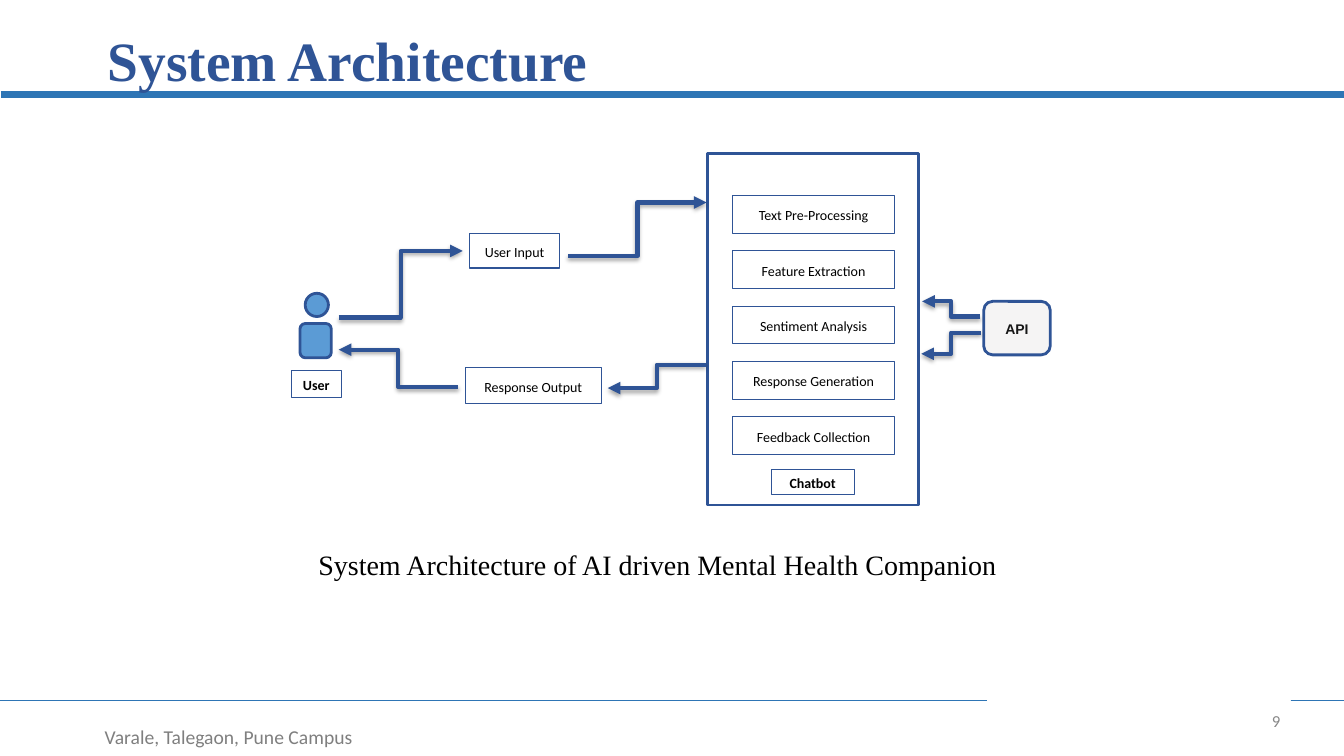
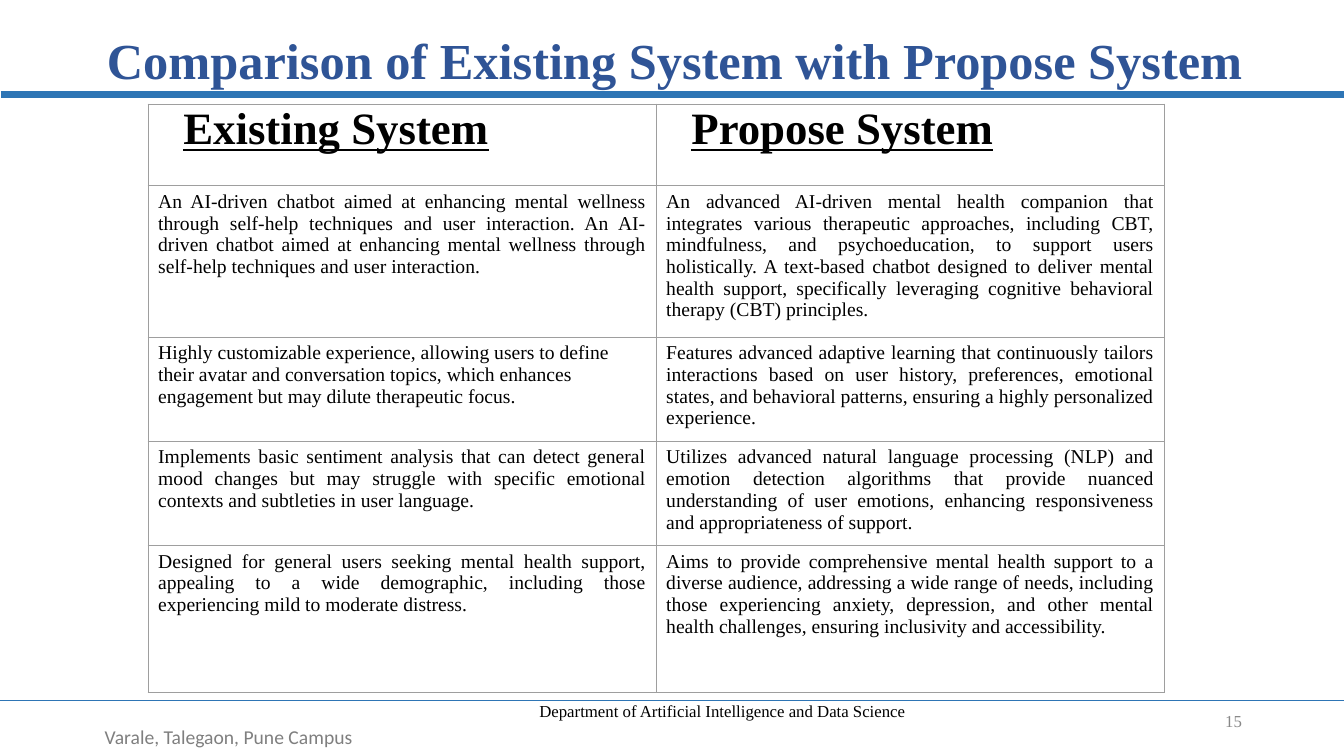
import pptx
import pptx.dml.color
import pptx.enum.shapes
import pptx.enum.text
import pptx.oxml
import pptx.oxml.ns
import pptx.util

Pt = pptx.util.Pt
RGBColor = pptx.dml.color.RGBColor
SHAPE = pptx.enum.shapes.MSO_SHAPE
CONN = pptx.enum.shapes.MSO_CONNECTOR
ALIGN = pptx.enum.text.PP_ALIGN
ANCHOR = pptx.enum.text.MSO_ANCHOR
NS = pptx.oxml.ns.nsdecls("a")

NAVY = RGBColor(0x2F, 0x54, 0x96)
BAND = RGBColor(0x2E, 0x75, 0xB5)
FIGURE = RGBColor(0x5B, 0x9B, 0xD5)
PALE = RGBColor(0xF5, 0xF4, 0xF4)
WHITE = RGBColor(0xFF, 0xFF, 0xFF)
BLACK = RGBColor(0, 0, 0)
INK = RGBColor(0x17, 0x17, 0x17)
FOOTER_GREY = RGBColor(0x7F, 0x7F, 0x7F)
PAGE_GREY = RGBColor(0x88, 0x88, 0x88)
BORDER = "9E9E9E"
SERIF, SANS = "Times New Roman", "Calibri"

SHADOW = (f'<a:effectLst {NS}><a:outerShdw blurRad="{Pt(3.1)}" dist="{Pt(1.8)}" '
          'dir="5400000" rotWithShape="0"><a:srgbClr val="000000"><a:alpha val="35000"/>'
          '</a:srgbClr></a:outerShdw></a:effectLst>')


def write(tf, text, size, font, color, bold=False, align=ALIGN.LEFT,
          anchor=ANCHOR.MIDDLE, spacing=1.0):
    tf.text = text
    tf.word_wrap = True
    tf.vertical_anchor = anchor
    p = tf.paragraphs[0]
    p.alignment = align
    p.line_spacing = spacing
    r = p.runs[0]
    r.font.size, r.font.name, r.font.bold = Pt(size), font, bold
    r.font.color.rgb = color
    return r


def connect(s, kind, x1, y1, x2, y2, color, width, effects):
    cx = s.shapes.add_connector(kind, Pt(x1), Pt(y1), Pt(x2), Pt(y2))
    cx.line.color.rgb = color
    cx.line.width = Pt(width)
    cx._element.spPr.append(pptx.oxml.parse_xml(effects))
    return cx


prs = pptx.Presentation()
prs.slide_width, prs.slide_height = Pt(960), Pt(540)

# Frame of each slide: bands, title, footer, page number
frames = [
    ("System Architecture", 39.6, 0.9, (69.8, 33.1, 828, 25.2), "9", 705.6, SANS),
    ("Comparison of Existing System with Propose System", 36, 1.0,
     (69.1, 28.1, 856, 28.8), "15", 678.2, SERIF),
]
pages = []
for title, size, spacing, place, number, number_x, number_font in frames:
    s = prs.slides.add_slide(prs.slide_layouts[5])
    for x, y, width in ((0, 500.4, 1.25), (0.7, 67.7, 4.75)):
        connect(s, CONN.STRAIGHT, x, y, 960, y, BAND, width, f"<a:effectLst {NS}/>")

    sp = s.shapes.title
    sp.left, sp.top, sp.width, sp.height = map(Pt, place)
    write(sp.text_frame, title, size, SERIF, NAVY, bold=True, spacing=spacing)
    sp.text_frame.auto_size = pptx.enum.text.MSO_AUTO_SIZE.NONE
    s.shapes._spTree.append(sp._element)  # title in front of the band

    sp = s.shapes.add_textbox(Pt(52.4), Pt(514), Pt(222), Pt(24.5))
    write(sp.text_frame, "Varale, Talegaon, Pune Campus", 14, SANS, FOOTER_GREY,
          align=ALIGN.CENTER, anchor=ANCHOR.TOP)
    sp = s.shapes.add_textbox(Pt(number_x), Pt(500.4), Pt(216), Pt(28.8))
    write(sp.text_frame, number, 12, number_font, PAGE_GREY, align=ALIGN.RIGHT)
    pages.append((s, sp))

# Slide 1: architecture diagram
s, page_box = pages[0]
page_box.line.color.rgb = WHITE
page_box.line.width = Pt(0.75)

sp = s.shapes.add_textbox(Pt(220.3), Pt(387.4), Pt(508.3), Pt(31.7))
write(sp.text_frame, "System Architecture of AI driven Mental Health Companion",
      20, SERIF, BLACK, anchor=ANCHOR.TOP)

# Figures and frames: shape, place, fill, text
figures = [
    (SHAPE.OVAL, (218, 209.5, 16.6, 16.6), FIGURE, ""),
    (SHAPE.ROUNDED_RECTANGLE, (214.3, 231.1, 22.3, 24.5), FIGURE, ""),
    (SHAPE.RECTANGLE, (505.4, 109.4, 151, 251.3), WHITE, ""),
    (SHAPE.ROUNDED_RECTANGLE, (702.7, 215.3, 47.5, 38.2), PALE, "API"),
]
for kind, place, fill, text in figures:
    sp = s.shapes.add_shape(kind, *map(Pt, place))
    sp.shadow.inherit = False
    sp.fill.solid()
    sp.fill.fore_color.rgb = fill
    sp.line.color.rgb = NAVY
    sp.line.width = Pt(2)
    if text:
        write(sp.text_frame, text, 10, "Arial", INK, True, ALIGN.CENTER, spacing=1.1)

# Labelled boxes: text, bold, place
labels = [
    ("User", True, (208.1, 264.8, 35.6, 19.4)),
    ("User Input", False, (335.5, 167, 64.1, 24.5)),
    ("Response Output", False, (332.4, 262.6, 97, 25.7)),
    ("Chatbot", True, (550.8, 335.4, 59.4, 18)),
]
steps = ["Text Pre-Processing", "Feature Extraction", "Sentiment Analysis",
         "Response Generation", "Feedback Collection"]
labels += [(step, False, (523.5, 139.6 + 39.5 * i, 115.2, 27))
           for i, step in enumerate(steps)]
for text, bold, place in labels:
    sp = s.shapes.add_shape(SHAPE.RECTANGLE, *map(Pt, place))
    sp.shadow.inherit = False
    sp.fill.solid()
    sp.fill.fore_color.rgb = WHITE
    sp.line.color.rgb = NAVY
    sp.line.width = Pt(0.75)
    write(sp.text_frame, text, 10, SANS, BLACK, bold, ALIGN.CENTER, spacing=1.1)

# Flow arrows
arrows = [
    (242, 226.8, 330.5, 179.3),
    (326.9, 276.5, 242, 249.8),
    (406, 182.9, 504.7, 144.7),
    (504, 260.6, 434.2, 277.2),
    (699.8, 226.1, 658.8, 215.3),
    (700.6, 237.6, 658.1, 252.7),
]
for ends in arrows:
    cx = connect(s, CONN.ELBOW, *ends, NAVY, 3, SHADOW)
    cx.line._get_or_add_ln().append(
        pptx.oxml.parse_xml(f'<a:tailEnd {NS} type="triangle"/>'))

# Slide 2: comparison table
s, page_box = pages[1]
sp = s.shapes.add_textbox(Pt(354.2), Pt(500.4), Pt(324), Pt(15))
write(sp.text_frame, "Department of Artificial Intelligence and Data Science",
      12, SERIF, BLACK, align=ALIGN.CENTER)

rows = [
    ("Existing System", "Propose System"),
    ("An AI-driven chatbot aimed at enhancing mental wellness through self-help "
     "techniques and user interaction. An AI-driven chatbot aimed at enhancing mental "
     "wellness through self-help techniques and user interaction.",
     "An advanced AI-driven mental health companion that integrates various therapeutic "
     "approaches, including CBT, mindfulness, and psychoeducation, to support users "
     "holistically. A text-based chatbot designed to deliver mental health support, "
     "specifically leveraging cognitive behavioral therapy (CBT) principles."),
    ("Highly customizable experience, allowing users to define their avatar and "
     "conversation topics, which enhances engagement but may dilute therapeutic focus.",
     "Features advanced adaptive learning that continuously tailors interactions based on "
     "user history, preferences, emotional states, and behavioral patterns, ensuring a "
     "highly personalized experience."),
    ("Implements basic sentiment analysis that can detect general mood changes but may "
     "struggle with specific emotional contexts and subtleties in user language.",
     "Utilizes advanced natural language processing (NLP) and emotion detection algorithms "
     "that provide nuanced understanding of user emotions, enhancing responsiveness and "
     "appropriateness of support."),
    ("Designed for general users seeking mental health support, appealing to a wide "
     "demographic, including those experiencing mild to moderate distress.",
     "Aims to provide comprehensive mental health support to a diverse audience, addressing "
     "a wide range of needs, including those experiencing anxiety, depression, and other "
     "mental health challenges, ensuring inclusivity and accessibility."),
]
heights = [58.5, 108, 74.5, 74.5, 104.5]
table = s.shapes.add_table(len(rows), 2, Pt(105.8), Pt(74.3), Pt(725.8), Pt(sum(heights))).table
table.first_row = table.horz_banding = False
for column in table.columns:
    column.width = Pt(362.9)
for i, (row, height) in enumerate(zip(rows, heights)):
    table.rows[i].height = Pt(height)
    for j, text in enumerate(row):
        cell = table.cell(i, j)
        cell.fill.background()
        if i == 0:
            cell.margin_left = Pt(25.2)
            r = write(cell.text_frame, text, 32, SERIF, BLACK, True, spacing=0.9)
            r.font.underline = True
        else:
            align = ALIGN.LEFT if (i, j) == (2, 0) else ALIGN.JUSTIFY
            write(cell.text_frame, text, 14, SERIF, BLACK, align=align)
        cell.vertical_anchor = ANCHOR.TOP
        tcPr = cell._tc.get_or_add_tcPr()
        for k, side in enumerate("LRTB"):
            tcPr.insert(k, pptx.oxml.parse_xml(
                f'<a:ln{side} {NS} w="{Pt(0.75)}"><a:solidFill><a:srgbClr val="{BORDER}"/>'
                f'</a:solidFill></a:ln{side}>'))

prs.save("out.pptx")
